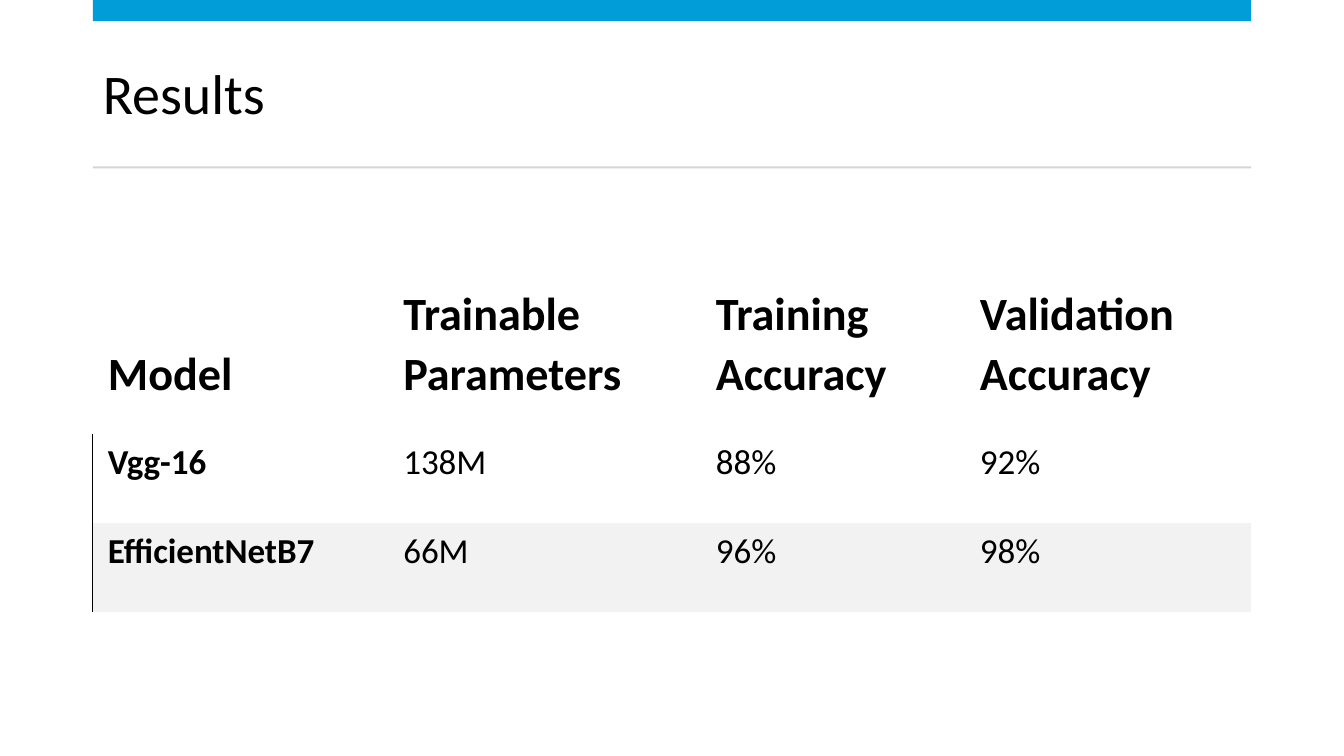
from lxml import etree
from pptx import Presentation
from pptx.dml.color import RGBColor
from pptx.enum.shapes import MSO_SHAPE
from pptx.enum.text import MSO_ANCHOR, PP_ALIGN
from pptx.oxml.ns import qn
from pptx.util import Inches, Pt

RECT = MSO_SHAPE.RECTANGLE
TOP, MIDDLE, BOTTOM = MSO_ANCHOR.TOP, MSO_ANCHOR.MIDDLE, MSO_ANCHOR.BOTTOM
LEFT = PP_ALIGN.LEFT
FONT = "Calibri"
PLAIN = "{2D5ABB26-0587-4C30-8999-92F81FD0307C}"
COLORS = {"bar": "009DD9", "rule": "D5D5D5", "band": "F2F2F2", "ink": "000000"}

edge, span = Inches(0.92), Inches(11.49)
widths = [2.93, 3.1, 2.62, 2.84]
heights = [1.62, 0.88, 0.88]
rows = [
    ["Model", "Trainable Parameters", "Training Accuracy", "Validation Accuracy"],
    ["Vgg-16", "138M", "88%", "92%"],
    ["EfficientNetB7", "66M", "96%", "98%"],
]


def color(name):
    return RGBColor.from_string(COLORS[name])


def style(para, size, bold, line):
    para.alignment = LEFT
    para.line_spacing = line
    font = para.font
    font.name, font.size, font.bold = FONT, Pt(size), bold
    font.color.rgb = color("ink")


deck = Presentation()
deck.slide_width, deck.slide_height = Inches(13.33), Inches(7.5)
slide = deck.slides.add_slide(deck.slide_layouts[5])

title = slide.shapes.title
title.left, title.top = edge, Inches(0.37)
title.width, title.height = span, Inches(1.18)
title.text_frame.text = "Results"
title.text_frame.vertical_anchor = MIDDLE
style(title.text_frame.paragraphs[0], 40, False, 0.9)

for name, top, height in [("bar", 0, 0.21), ("rule", 1.65, 0.02)]:
    strip = slide.shapes.add_shape(RECT, edge, Inches(top), span, Inches(height))
    strip.shadow.inherit = False
    strip.fill.solid()
    strip.fill.fore_color.rgb = color(name)
    strip.line.fill.background()

frame = slide.shapes.add_table(
    len(rows), len(widths), edge, Inches(2.69), span, Inches(sum(heights)))
table = frame.table
table.horz_banding = False
table._tbl.tblPr.find(qn("a:tableStyleId")).text = PLAIN
for col, width in zip(table.columns, widths):
    col.width = Inches(width)

for r, (row, height) in enumerate(zip(rows, heights)):
    table.rows[r].height = Inches(height)
    for c, text in enumerate(row):
        cell = table.cell(r, c)
        cell.text = text
        cell.vertical_anchor = TOP if r else BOTTOM
        cell.margin_left, cell.margin_top = Inches(0.15), Inches(0.04)
        cell.margin_right, cell.margin_bottom = Inches(0.46), Inches(0.31)
        para = cell.text_frame.paragraphs[0]
        style(para, 25 if r else 33, r == 0 or c == 0, 1.07)
        para.space_after = Pt(8)
        if r == 2:
            cell.fill.solid()
            cell.fill.fore_color.rgb = color("band")
        else:
            cell.fill.background()
        if r and c == 0:
            side = etree.Element(qn("a:lnL"), w=str(Pt(0.75)))
            fill = etree.SubElement(side, qn("a:solidFill"))
            etree.SubElement(fill, qn("a:srgbClr"), val=COLORS["ink"])
            cell._tc.tcPr.insert(0, side)

deck.save("out.pptx")
